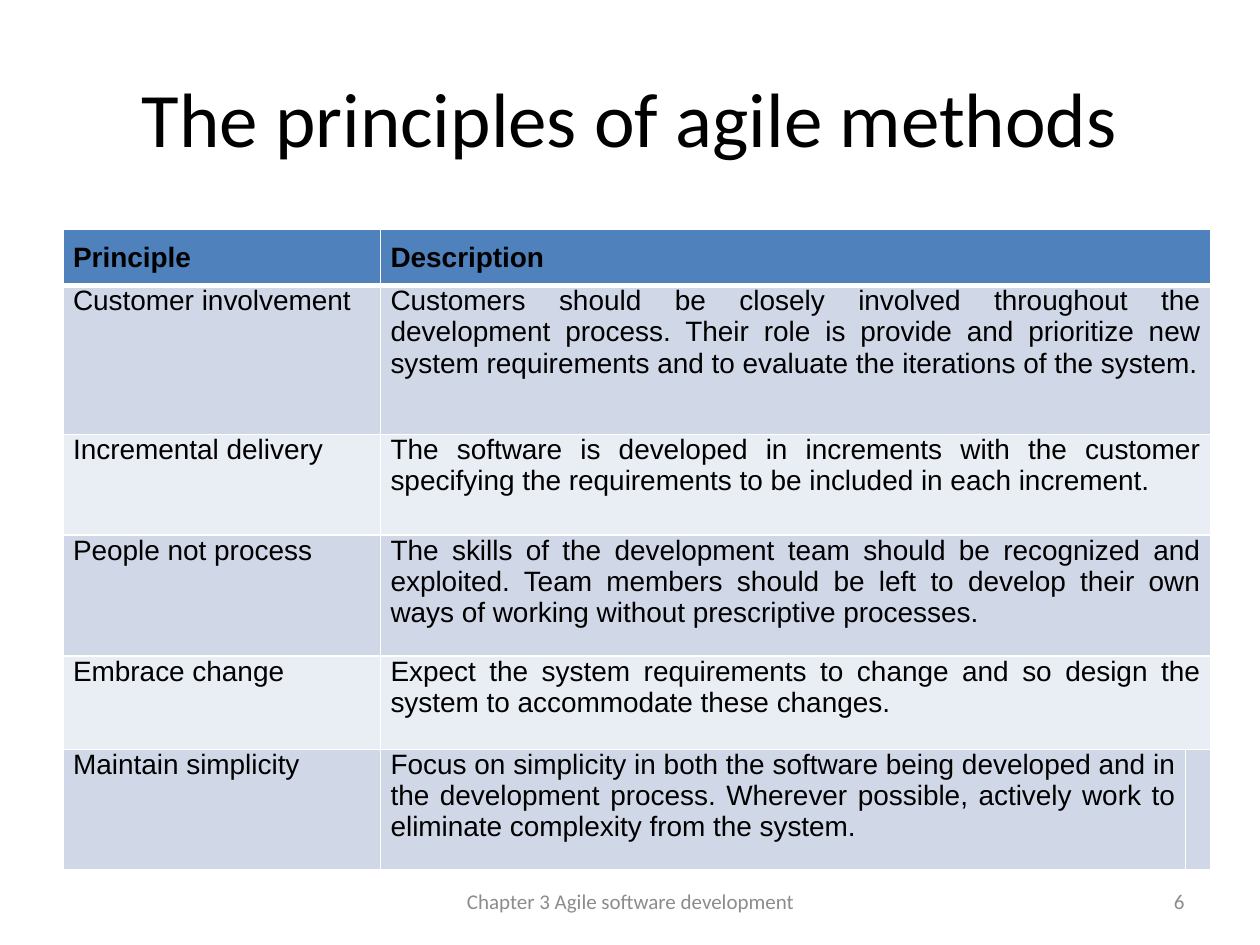
from dataclasses import dataclass

from lxml.etree import SubElement
from pptx import Presentation
from pptx.dml.color import RGBColor as RGB
from pptx.enum.text import MSO_ANCHOR as ANCHOR, PP_ALIGN as ALIGN
from pptx.oxml.ns import qn
from pptx.util import Emu, Pt

SCALE = 9144


def px(n):
    return Emu(n * SCALE)


@dataclass(frozen=True)
class Theme:
    heading: str = "Calibri"
    body: str = "Arial"
    ink: str = "000000"
    muted: str = "8C8C8C"
    header: str = "4F81BD"
    bands: tuple = ("D0D8E8", "E9EDF4")
    rule: str = "FFFFFF"
    title_size: int = 44
    table_size: int = 16
    footer_size: int = 12


class Deck:
    def __init__(self, theme):
        self.theme = theme
        self.prs = Presentation()
        self.prs.slide_width, self.prs.slide_height = px(1000), px(750)

    def add_slide(self):
        self.s = self.prs.slides.add_slide(self.prs.slide_layouts[5])

    def add_text(self, tf, text, font, size, color, align, bold=False):
        p = tf.paragraphs[0]
        p.alignment = align
        r = p.add_run()
        r.text = text
        style = {"name": font, "size": Pt(size), "bold": bold}
        for key, value in style.items():
            setattr(r.font, key, value)
        r.font.color.rgb = RGB.from_string(color)

    def title(self, text, box):
        sp = self.s.shapes.title
        for key, value in zip(("left", "top", "width", "height"), box):
            setattr(sp, key, px(value))
        sp.text_frame.vertical_anchor = ANCHOR.MIDDLE
        t = self.theme
        self.add_text(sp.text_frame, text, t.heading, t.title_size, t.ink, ALIGN.CENTER)

    def footer(self, text, box, align):
        tf = self.s.shapes.add_textbox(*map(px, box)).text_frame
        for key, value in {"word_wrap": True, "vertical_anchor": ANCHOR.MIDDLE}.items():
            setattr(tf, key, value)
        t = self.theme
        self.add_text(tf, text, t.heading, t.footer_size, t.muted, align)

    def borders(self, cell, top, bottom):
        tc_pr = cell._tc.get_or_add_tcPr()
        for side, width in {"L": 1, "R": 1, "T": top, "B": bottom}.items():
            ln = SubElement(tc_pr, qn(f"a:ln{side}"), w=str(Pt(width)))
            fill = SubElement(ln, qn("a:solidFill"))
            SubElement(fill, qn("a:srgbClr"), val=self.theme.rule)

    def cell(self, cell, text, row):
        t = self.theme
        head = row == 0
        margins = {"margin_left": px(8), "margin_right": px(8),
                   "margin_top": px(10 if head else 0), "margin_bottom": px(10)}
        for key, value in margins.items():
            setattr(cell, key, value)
        self.borders(cell, 3 if row == 1 else 1, 3 if head else 1)
        cell.fill.solid()
        cell.fill.fore_color.rgb = RGB.from_string(
            t.header if head else t.bands[(row - 1) % 2])
        if text:
            self.add_text(cell.text_frame, text, t.body, t.table_size, t.ink,
                          ALIGN.JUSTIFY, head)

    def table(self, rows, left, top, widths, heights):
        box = (left, top, sum(widths), sum(heights))
        tbl = self.s.shapes.add_table(len(rows), len(widths), *map(px, box)).table
        for col, width in zip(tbl.columns, widths):
            col.width = px(width)
        for i, (texts, height) in enumerate(zip(rows, heights)):
            tbl.rows[i].height = px(height)
            for j, text in enumerate((*texts, "")):
                self.cell(tbl.cell(i, j), text, i)
            if i < len(rows) - 1:
                tbl.cell(i, 1).merge(tbl.cell(i, 2))


PRINCIPLES = [
    ("Principle", "Description"),
    ("Customer involvement",
     "Customers should be closely involved throughout the development process. "
     "Their role is provide and prioritize new system requirements and to "
     "evaluate the iterations of the system."),
    ("Incremental delivery",
     "The software is developed in increments with the customer specifying the "
     "requirements to be included in each increment."),
    ("People not process",
     "The skills of the development team should be recognized and exploited. "
     "Team members should be left to develop their own ways of working without "
     "prescriptive processes."),
    ("Embrace change",
     "Expect the system requirements to change and so design the system to "
     "accommodate these changes."),
    ("Maintain simplicity",
     "Focus on simplicity in both the software being developed and in the "
     "development process. Wherever possible, actively work to eliminate "
     "complexity from the system."),
]


def main():
    deck = Deck(Theme())
    deck.add_slide()
    deck.title("The principles of agile methods", (50, 30, 900, 125))
    deck.table(PRINCIPLES, 50, 182, (252, 639, 14), (44, 118, 80, 96, 74, 96))
    deck.footer("6", (717, 695, 233, 40), ALIGN.RIGHT)
    deck.footer("Chapter 3 Agile software development", (342, 695, 317, 40), ALIGN.CENTER)
    deck.prs.save("out.pptx")


if __name__ == "__main__":
    main()
